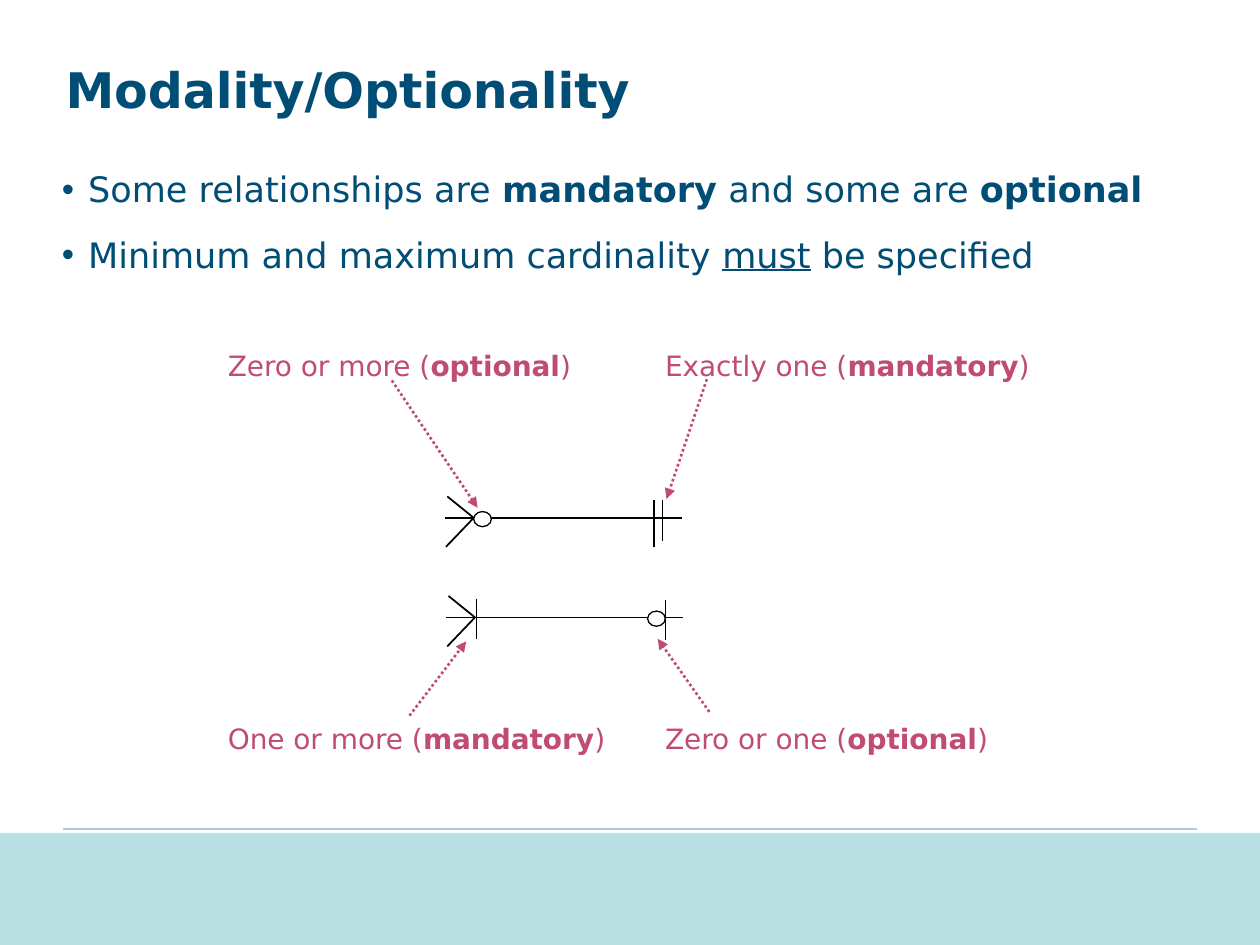
from lxml.etree import SubElement
from pptx import Presentation
from pptx.dml.color import RGBColor
from pptx.enum.dml import MSO_LINE
from pptx.enum.shapes import MSO_CONNECTOR as Connector, MSO_SHAPE as Shape
from pptx.enum.text import MSO_ANCHOR as Anchor, MSO_AUTO_SIZE as AutoSize, PP_ALIGN as Align
from pptx.oxml.ns import qn
from pptx.util import Inches, Pt

FONT = "DejaVu Sans"
NAVY, ROSE, BLACK, WHITE = "004D75", "C04C73", "000000", "FFFFFF"
RULE_BLUE, FOOTER_TEAL = "B2C9D5", "BBE0E3"
BOLD, UNDERLINE = {"bold": True}, {"underline": True}

TITLE = [("Modality/Optionality", BOLD)]
BULLETS = [
    [("Some relationships are ", {}), ("mandatory", BOLD),
     (" and some are ", {}), ("optional", BOLD)],
    [("Minimum and maximum cardinality ", {}), ("must", UNDERLINE),
     (" be specified", {})],
]
LABELS = [
    ("Exactly one", "mandatory", 5.18, 2.72, 3.54),
    ("Zero or more", "optional", 1.71, 2.72, 3.08),
    ("One or more", "mandatory", 1.71, 5.68, 3.37),
    ("Zero or one", "optional", 5.18, 5.68, 3.12),
]
POINTERS = [
    ((5.61, 3.01), (5.29, 3.96)),
    ((3.11, 3.02), (3.79, 4.03)),
    ((3.25, 5.68), (3.7, 5.09)),
    ((5.63, 5.65), (5.22, 5.07)),
]
RELATIONSHIPS = [
    {"left": 3.54, "axis": 4.9, "circle": 1.6,
     "bars": [(1.74, -0.14, 0.18), (0.24, -0.15, 0.17)]},
    {"left": 3.53, "axis": 4.11, "circle": 0.23,
     "bars": [(1.73, -0.14, 0.18), (1.66, -0.14, 0.23)]},
]
CROW_FOOT = [((0, 0), (1.88, 0)), ((0.02, -0.17), (0.23, 0)), ((0.23, 0), (0.01, 0.23))]


def color(value):
    """Turn a hex string into a colour."""
    return RGBColor.from_string(value)


def place(box, left, top, width, height):
    """Move and size an object in inches."""
    box.left, box.top, box.width, box.height = map(Inches, (left, top, width, height))


def prepare(frame, wrap=True):
    """Set the common layout of a text frame."""
    layout = {"word_wrap": wrap, "auto_size": AutoSize.NONE, "vertical_anchor": Anchor.TOP}
    for name, value in layout.items():
        setattr(frame, name, value)


def write(para, spans, size, ink):
    """Fill a paragraph with formatted spans."""
    para.alignment = Align.LEFT
    for text, changes in spans:
        span = para.add_run()
        span.text = text
        values = {"name": FONT, "size": Pt(size), "bold": False, **changes}
        for name, value in values.items():
            setattr(span.font, name, value)
        span.font.color.rgb = color(ink)


def draw_line(shapes, start, end, ink, width):
    """Add a straight connector without a shadow."""
    line = shapes.add_connector(Connector.STRAIGHT, *map(Inches, (*start, *end)))
    line.line.color.rgb = color(ink)
    line.line.width = Pt(width)
    SubElement(line._element.spPr, qn("a:effectLst"))
    return line


def draw_shape(shapes, kind, bounds, fill, ink=None):
    """Add a filled preset shape with an optional thin outline."""
    shape = shapes.add_shape(kind, *map(Inches, bounds))
    shape.shadow.inherit = False
    shape.fill.solid()
    shape.fill.fore_color.rgb = color(fill)
    if ink:
        shape.line.color.rgb = color(ink)
        shape.line.width = Pt(0.75)
    else:
        shape.line.fill.background()


def add_title(page):
    """Fill the title placeholder."""
    box = page.shapes.title
    place(box, 0.42, 0.42, 9.08, 1.17)
    prepare(box.text_frame)
    write(box.text_frame.paragraphs[0], TITLE, 28, NAVY)


def add_bullets(page):
    """Fill the body placeholder with the bullet list."""
    box = page.placeholders[1]
    place(box, 0.39, 1.25, 9.08, 1.37)
    frame = box.text_frame
    prepare(frame)
    for index, spans in enumerate(BULLETS):
        para = frame.add_paragraph() if index else frame.paragraphs[0]
        properties = para._p.get_or_add_pPr()
        properties.set("marL", str(Inches(0.21)))
        properties.set("indent", str(Inches(-0.21)))
        SubElement(properties, qn("a:buChar"), char="•")
        para.line_spacing = 1.1
        para.space_before = Pt(7 if index else 0)
        para.space_after = Pt(4)
        write(para, spans, 20, NAVY)


def add_label(page, phrase, modality, left, top, width):
    """Add a caption with its modality in bold."""
    box = page.shapes.add_textbox(*map(Inches, (left, top, width, 0.37)))
    prepare(box.text_frame, wrap=False)
    spans = [(phrase + " (", {}), (modality, BOLD), (")", {})]
    write(box.text_frame.paragraphs[0], spans, 16, ROSE)


def add_pointer(page, start, tip):
    """Add a dotted arrow from a caption to a symbol."""
    arrow = draw_line(page.shapes, start, tip, ROSE, 1.5)
    arrow.line.dash_style = MSO_LINE.ROUND_DOT
    SubElement(arrow.line._get_or_add_ln(), qn("a:tailEnd"), type="triangle")


def add_relationship(page, left, axis, circle, bars):
    """Draw one grouped relationship line with its end symbols."""
    shapes = page.shapes.add_group_shape().shapes
    for (x1, y1), (x2, y2) in CROW_FOOT:
        draw_line(shapes, (left + x1, axis + y1), (left + x2, axis + y2), BLACK, 1)
    draw_shape(shapes, Shape.OVAL, (left + circle, axis - 0.05, 0.14, 0.12), WHITE, BLACK)
    for x, top, bottom in bars:
        draw_line(shapes, (left + x, axis + top), (left + x, axis + bottom), BLACK, 0.75)


def main():
    """Build and save the slide."""
    deck = Presentation()
    deck.slide_width, deck.slide_height = Inches(10), Inches(7.5)
    page = deck.slides.add_slide(deck.slide_layouts[1])
    draw_line(page.shapes, (0.5, 6.58), (9.5, 6.58), RULE_BLUE, 1.25)
    add_title(page)
    add_bullets(page)
    for label in LABELS:
        add_label(page, *label)
    for pointer in POINTERS:
        add_pointer(page, *pointer)
    for relationship in RELATIONSHIPS:
        add_relationship(page, **relationship)
    draw_shape(page.shapes, Shape.RECTANGLE, (0, 6.61, 10, 0.89), FOOTER_TEAL)
    deck.save("out.pptx")


if __name__ == "__main__":
    main()
